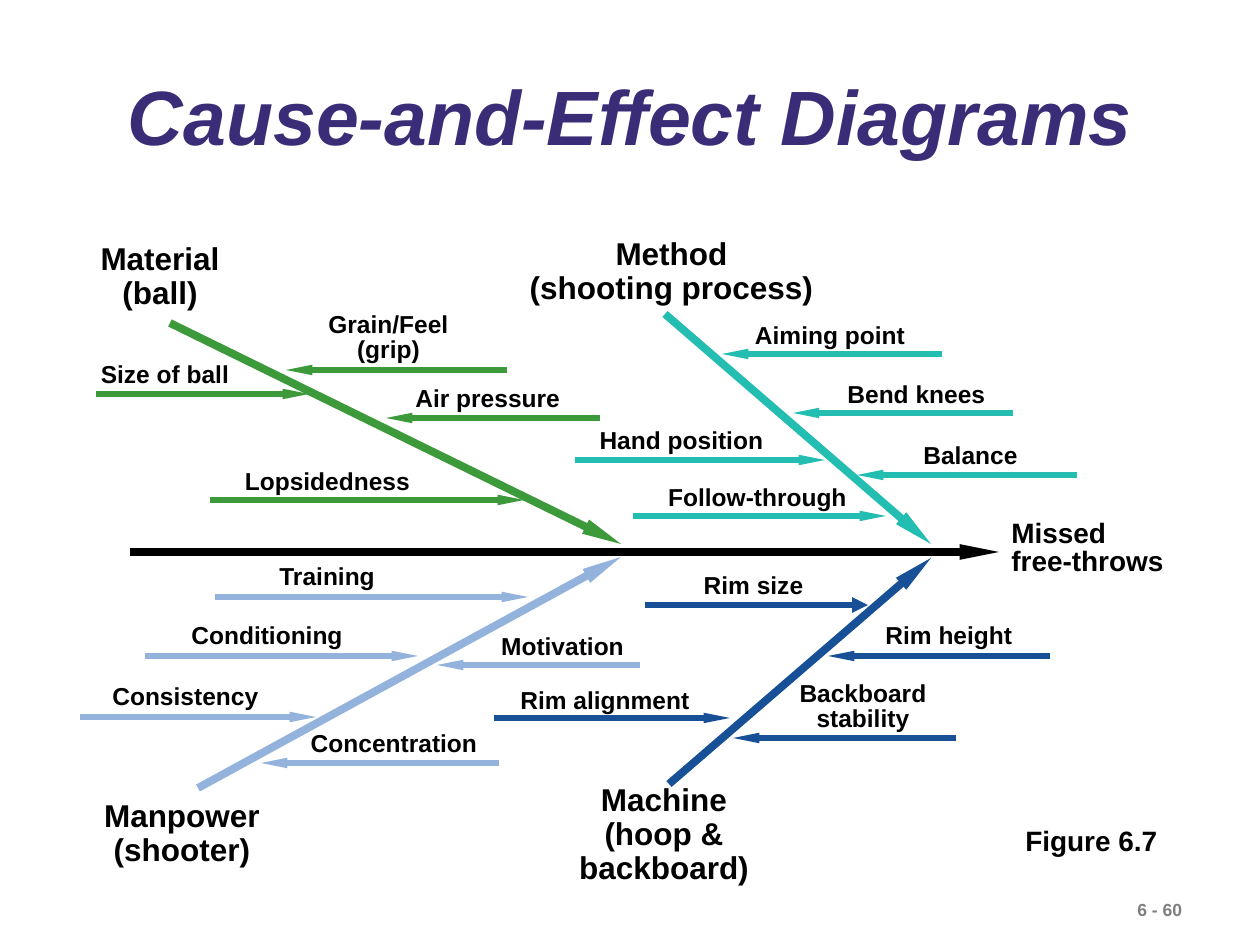
from dataclasses import dataclass
from typing import NamedTuple

from lxml.etree import SubElement
from pptx import Presentation
from pptx.dml.color import RGBColor
from pptx.enum.shapes import MSO_CONNECTOR as Connector
from pptx.enum.text import MSO_ANCHOR as Anchor, MSO_AUTO_SIZE as AutoSize, PP_ALIGN as Align
from pptx.oxml.ns import qn
from pptx.util import Emu, Pt

EMU_PER_PX = 914400 / 126
FONT = "Arial"
COLORS = {
    "title": "3A2C76",
    "text": "000000",
    "page_number": "7F7F7F",
    "material": "3D9A3A",
    "method": "24BDB2",
    "machine": "175097",
    "manpower": "93B3DD",
}


def px(length: int) -> Emu:
    return Emu(round(length * EMU_PER_PX))


class Area(NamedTuple):
    left: int
    top: int
    width: int
    height: int


class Point(NamedTuple):
    x: int
    y: int


@dataclass(frozen=True)
class Style:
    size: int
    align: Align = Align.LEFT
    spacing: float = 1.0
    after: float = 0
    wrap: bool = False
    color: str = "text"
    italic: bool = False
    anchor: Anchor = Anchor.TOP
    fit: bool = True


TITLE = Style(44, Align.CENTER, 0.8, wrap=True, color="title", italic=True,
              anchor=Anchor.MIDDLE, fit=False)
CATEGORY = Style(18, Align.CENTER, 0.9)
EFFECT = Style(16, spacing=0.85, wrap=True)
FIGURE = Style(16)
PAGE_NUMBER = Style(10, color="page_number")
LOOSE = Style(14, Align.CENTER, 1.25, wrap=True)
TIGHT = Style(14, Align.CENTER, 0.85, after=7.9, wrap=True)
PLAIN = Style(14)


@dataclass(frozen=True)
class Cause:
    text: str
    style: Style
    area: Area
    start: int
    end: int
    y: int
    head_length: str = "lg"
    head_width: str = "sm"


@dataclass(frozen=True)
class Bone:
    color: str
    text: str
    area: Area
    start: Point
    end: Point
    causes: tuple[Cause, ...]


BONES = (
    Bone("material", "Material\n(ball)", Area(86, 237, 148, 81), Point(170, 323), Point(621, 544), (
        Cause("Size of ball", TIGHT, Area(70, 357, 190, 38), 96, 309, 394),
        Cause("Lopsidedness", LOOSE, Area(203, 452, 249, 49), 210, 524, 500),
        Cause("Grain/Feel (grip)", TIGHT, Area(299, 307, 179, 63), 507, 286, 370),
        Cause("Air pressure", PLAIN, Area(403, 377, 176, 43), 600, 386, 418),
    )),
    Bone("method", "Method\n(shooting process)", Area(515, 232, 313, 81),
         Point(665, 314), Point(931, 544), (
        Cause("Follow-through", LOOSE, Area(642, 469, 231, 49), 633, 886, 516),
        Cause("Hand position", LOOSE, Area(562, 412, 239, 49), 575, 825, 460),
        Cause("Aiming point", TIGHT, Area(738, 318, 184, 38), 942, 722, 354),
        Cause("Bend knees", PLAIN, Area(835, 373, 168, 43), 1013, 793, 413),
        Cause("Balance", PLAIN, Area(911, 434, 126, 43), 1077, 857, 475),
    )),
    Bone("machine", "Machine\n(hoop &\nbackboard)", Area(564, 778, 200, 115),
         Point(669, 784), Point(931, 558), (
        Cause("Rim alignment", LOOSE, Area(492, 671, 226, 49), 494, 730, 718),
        Cause("Rim size", LOOSE, Area(654, 557, 199, 49), 645, 868, 605, "med", "med"),
        Cause("Backboard stability", TIGHT, Area(762, 676, 202, 63), 956, 733, 738),
        Cause("Rim height", PLAIN, Area(873, 614, 158, 43), 1050, 828, 656),
    )),
    Bone("manpower", "Manpower\n(shooter)", Area(87, 794, 190, 81),
         Point(198, 788), Point(621, 557), (
        Cause("Training", PLAIN, Area(267, 555, 128, 43), 215, 528, 597),
        Cause("Conditioning", PLAIN, Area(179, 614, 184, 43), 145, 418, 656),
        Cause("Motivation", LOOSE, Area(478, 618, 169, 49), 640, 437, 665),
        Cause("Concentration", LOOSE, Area(293, 715, 202, 49), 499, 261, 763),
        Cause("Consistency", PLAIN, Area(100, 675, 178, 43), 80, 316, 717),
    )),
)


def add_label(page, text: str, area: Area, style: Style) -> None:
    box = page.shapes.add_textbox(*map(px, area))
    frame = box.text_frame
    frame.word_wrap = style.wrap
    frame.vertical_anchor = style.anchor
    frame.auto_size = AutoSize.SHAPE_TO_FIT_TEXT if style.fit else AutoSize.NONE
    frame.text = text
    for para in frame.paragraphs:
        para.alignment = style.align
        para.line_spacing = style.spacing
        para.space_after = Pt(style.after)
        font = para.font
        font.name, font.size = FONT, Pt(style.size)
        font.bold, font.italic = True, style.italic
        font.color.rgb = RGBColor.from_string(COLORS[style.color])


def add_arrow(page, start: Point, end: Point, color: str, weight: float,
              head_length: str = "lg", head_width: str = "sm") -> None:
    arrow = page.shapes.add_connector(Connector.STRAIGHT, *map(px, (*start, *end)))
    arrow.line.color.rgb = RGBColor.from_string(COLORS[color])
    arrow.line.width = Pt(weight)
    SubElement(arrow.line._get_or_add_ln(), qn("a:tailEnd"),
               type="triangle", w=head_width, len=head_length)
    SubElement(arrow._element.spPr, qn("a:effectLst"))


def add_bone(page, bone: Bone) -> None:
    add_arrow(page, bone.start, bone.end, bone.color, 4.5)
    add_label(page, bone.text, bone.area, CATEGORY)
    for cause in bone.causes:
        add_label(page, cause.text, cause.area, cause.style)
        add_arrow(page, Point(cause.start, cause.y), Point(cause.end, cause.y),
                  bone.color, 3, cause.head_length, cause.head_width)


def main() -> None:
    deck = Presentation()
    deck.slide_width, deck.slide_height = px(1260), px(945)
    page = deck.slides.add_slide(deck.slide_layouts[6])

    # Title, figure number and page number
    add_label(page, "Cause-and-Effect Diagrams", Area(95, 60, 1071, 127), TITLE)
    add_label(page, "Figure 6.7", Area(1013, 817, 168, 47), FIGURE)
    add_label(page, "6 - 60", Area(1125, 893, 135, 34), PAGE_NUMBER)

    # Four categories with their causes
    for bone in BONES:
        add_bone(page, bone)

    # Spine and effect
    add_arrow(page, Point(130, 552), Point(999, 552), "text", 4.5)
    add_label(page, "Missed \vfree-throws", Area(999, 514, 197, 71), EFFECT)

    deck.save("out.pptx")


if __name__ == "__main__":
    main()
